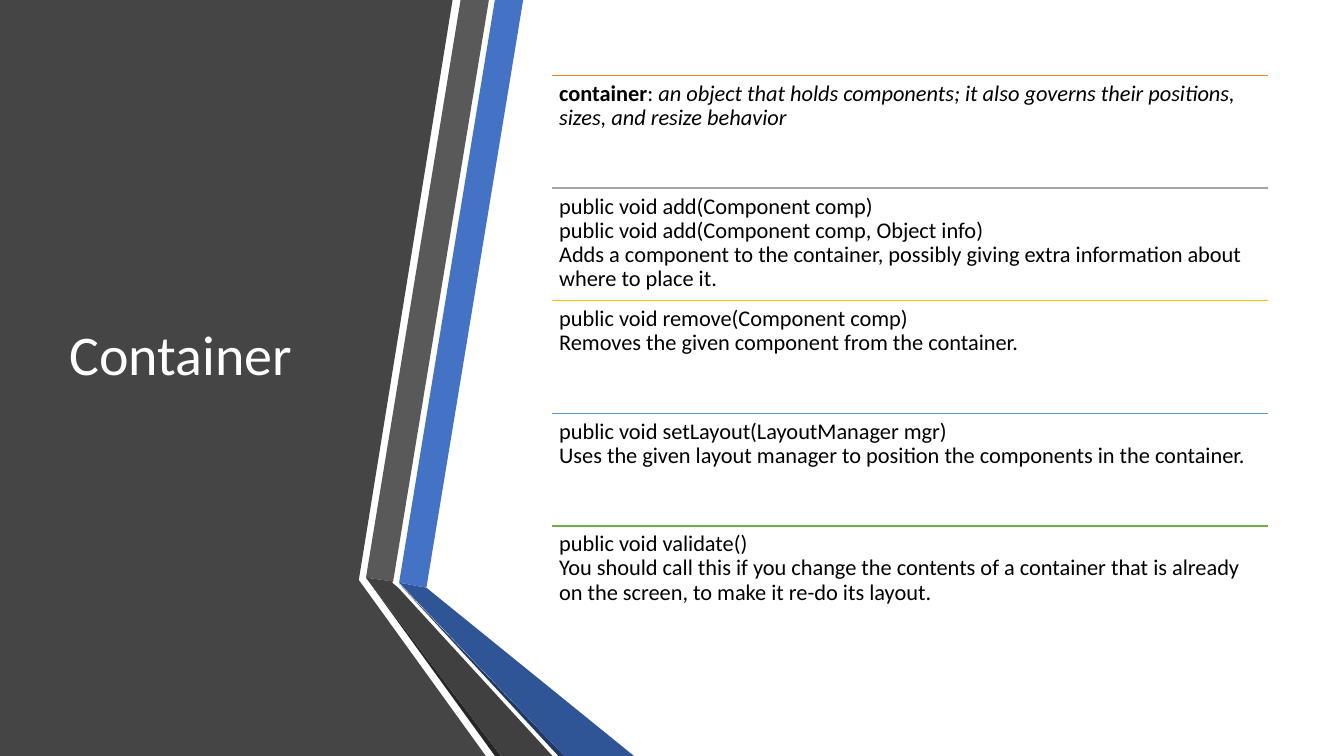
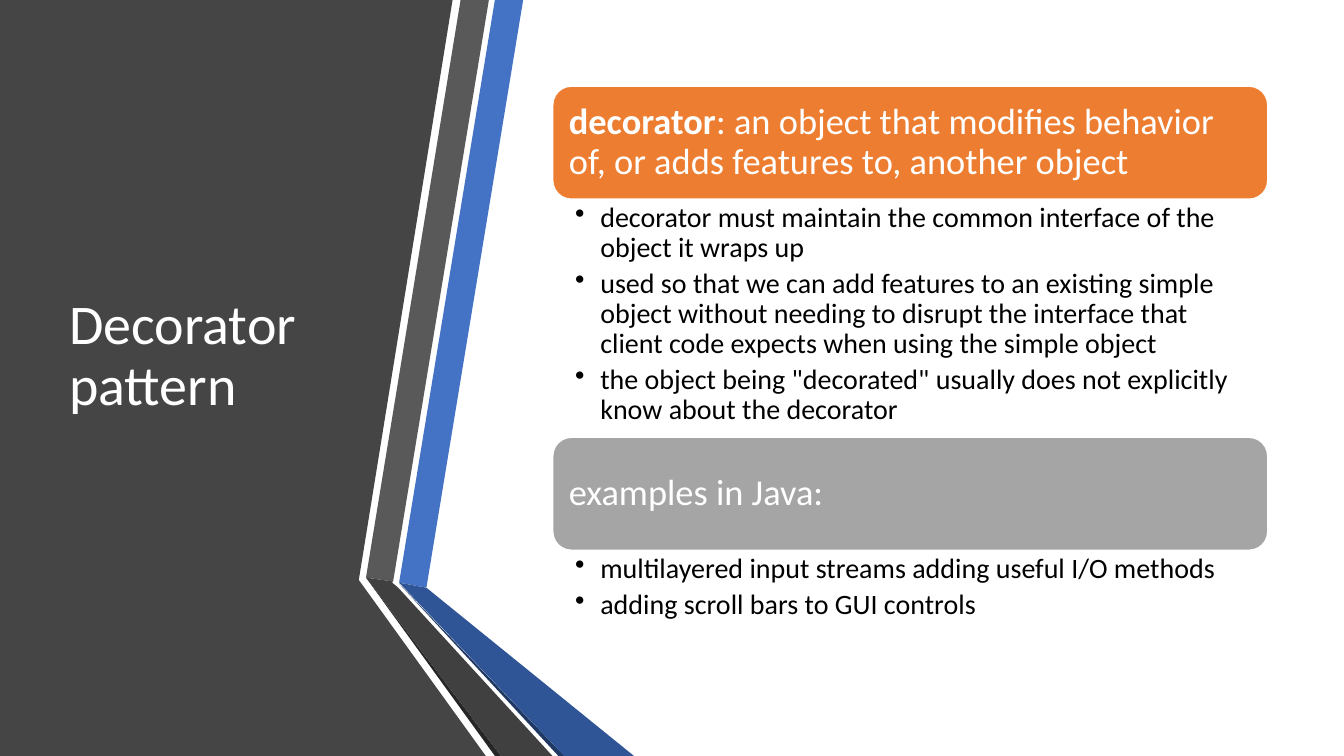
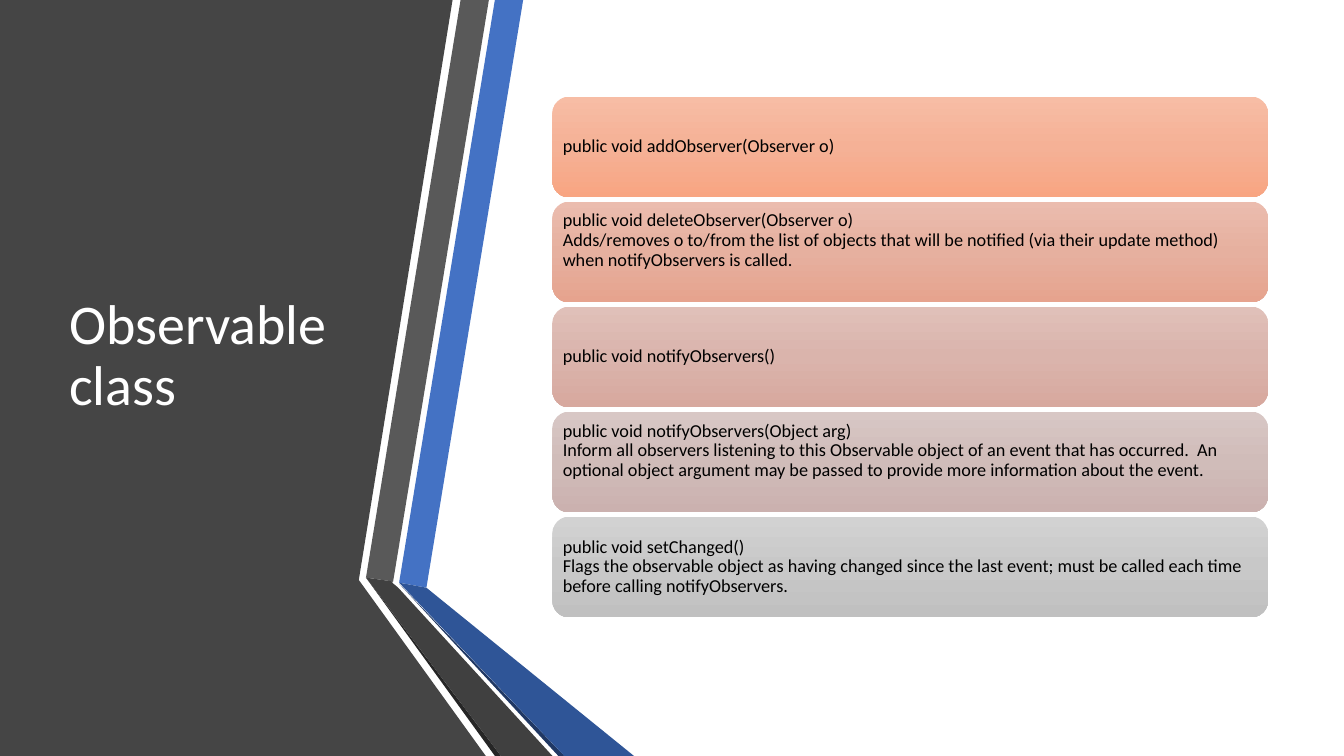
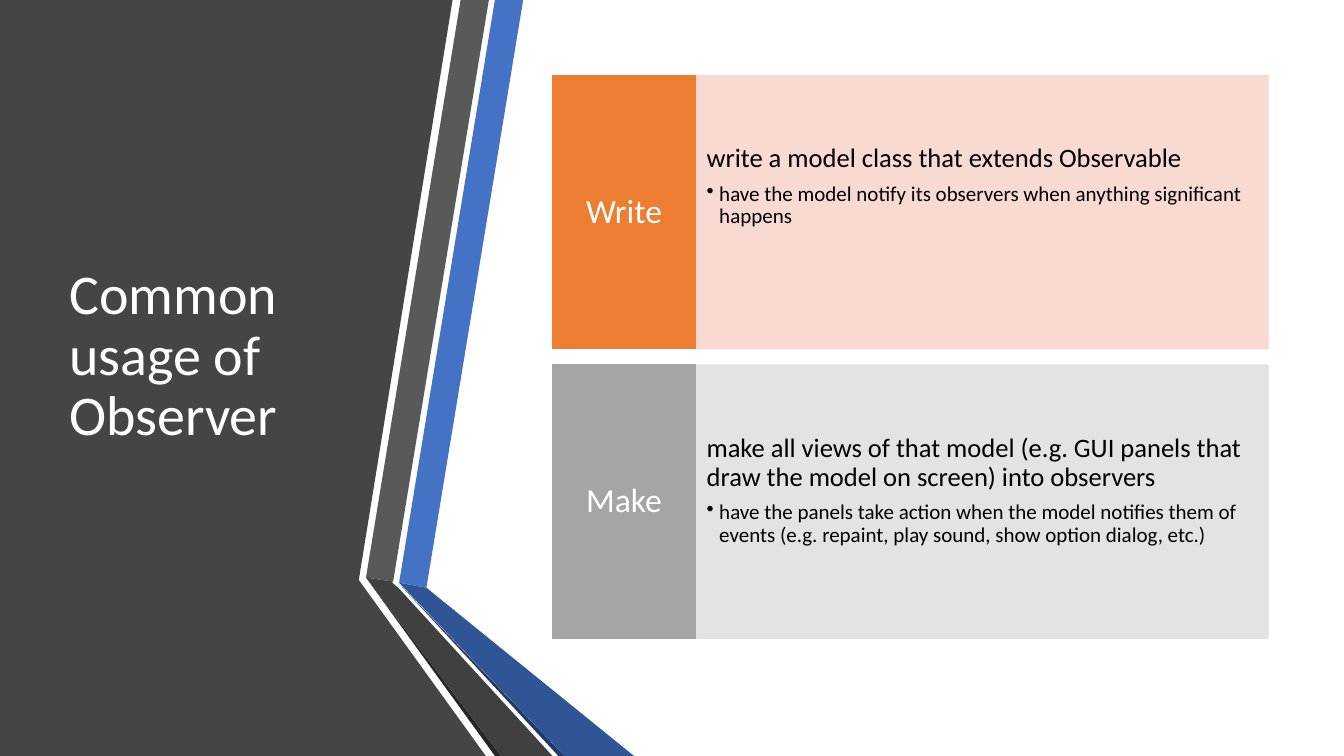
"""Build four slides on Java GUI containers, decorators and observers."""
from copy import deepcopy
from dataclasses import dataclass

from lxml.etree import SubElement
from pptx import Presentation
from pptx.dml.color import RGBColor
from pptx.enum.shapes import MSO_CONNECTOR, MSO_SHAPE
from pptx.enum.text import MSO_ANCHOR, PP_ALIGN
from pptx.oxml.ns import qn
from pptx.util import Pt

STRAIGHT = MSO_CONNECTOR.STRAIGHT
RECTANGLE, ROUNDED = MSO_SHAPE.RECTANGLE, MSO_SHAPE.ROUNDED_RECTANGLE
TOP, MIDDLE = MSO_ANCHOR.TOP, MSO_ANCHOR.MIDDLE
LEFT, CENTER = PP_ALIGN.LEFT, PP_ALIGN.CENTER


@dataclass(frozen=True)
class Theme:
    font: str = "Calibri"
    white: str = "FFFFFF"
    black: str = "000000"
    panel: str = "454545"
    blue: str = "4472C4"
    blue_fold: str = "2F5597"
    blue_edge: str = "203864"
    grey: str = "595959"
    grey_fold: str = "404040"
    grey_edge: str = "262626"
    orange: str = "ED7D31"
    silver: str = "A5A5A5"
    gold: str = "FFC000"
    sky: str = "5B9BD5"
    green: str = "70AD47"
    orange_tint: str = "F8D7CE"
    silver_tint: str = "E1E1E1"
    title_size: int = 40
    heading_size: int = 26
    label_size: int = 24
    bullet_size: int = 20
    lead_size: int = 19
    entry_size: int = 16
    detail_size: int = 15
    method_size: int = 13


THEME = Theme()
WIDTH, HEIGHT = 960, 540
AREA_LEFT, AREA_TOP, AREA_WIDTH, AREA_HEIGHT = 394.6, 54, 511.2, 402

RIBBONS = [
    (THEME.panel, [(0, 0), (323.3, 0), (256.3, 414.3), (347, 540), (0, 540)]),
    (THEME.blue, [(285.1, 416.2), (304.6, 419.8), (373.7, 0), (353.5, 0)]),
    (THEME.grey, [(349.2, 0), (329, 0), (261.4, 412.6), (280.8, 415.4)]),
    (THEME.grey_edge, [(261.4, 412.6), (353.5, 540), (357.8, 540)]),
    (THEME.blue_edge, [(285.1, 416.9), (398.9, 540), (403.2, 540)]),
    (THEME.blue_fold, [(285.1, 416.2), (403.2, 540), (452.9, 540), (304.6, 419.8)]),
    (THEME.grey_fold, [(394.6, 540), (284.4, 419.8), (280.1, 416.2),
                       (280.8, 415.4), (261.4, 412.6), (357.8, 540)]),
]


def write(frame, *spans, size, color=THEME.black, align=LEFT, after=0.35, bullet=0):
    """Add a paragraph of spans, each a string or a (text, bold, italic) tuple."""
    paragraph = frame.paragraphs[0]
    if paragraph.runs:
        paragraph = frame.add_paragraph()
    paragraph.alignment = align
    paragraph.line_spacing = 0.9
    paragraph.space_after = Pt(after * size)
    for span in spans:
        text, bold, italic = (span, False, False) if isinstance(span, str) else span
        for number, line in enumerate(text.split("\n")):
            if number:
                paragraph.add_line_break()
            run = paragraph.add_run()
            run.text = line
            run.font.name, run.font.size = THEME.font, Pt(size)
            run.font.bold, run.font.italic = bold, italic
            run.font.color.rgb = RGBColor.from_string(color)
    for line_break in paragraph._p.findall(qn("a:br")):
        SubElement(line_break, qn("a:rPr")).set("sz", str(size * 100))
    if bullet:
        properties = paragraph._p.get_or_add_pPr()
        properties.set("marL", str(Pt(bullet)))
        properties.set("indent", str(-Pt(bullet)))
        SubElement(properties, qn("a:buChar")).set("char", "•")


class Deck:
    """Hold the presentation and draw styled elements on its current slide."""

    def __init__(self):
        self.presentation = Presentation()
        self.presentation.slide_width = Pt(WIDTH)
        self.presentation.slide_height = Pt(HEIGHT)
        self.shapes = None

    def start_slide(self, title):
        """Add a slide with the folded ribbons and its title."""
        layout = self.presentation.slide_layouts[6]
        self.shapes = self.presentation.slides.add_slide(layout).shapes
        for color, corners in RIBBONS:
            self.ribbon(color, corners)
        frame = self.text_area(42.5, AREA_TOP, 218.9, AREA_HEIGHT,
                               insets=(7.2, 3.6, 7.2, 3.6), anchor=MIDDLE)
        write(frame, title, size=THEME.title_size, color=THEME.white, after=0)

    def ribbon(self, color, corners):
        """Draw a filled polygon."""
        (x, y), *others = [(Pt(x), Pt(y)) for x, y in corners]
        builder = self.shapes.build_freeform(x, y)
        builder.add_line_segments(others)
        self.paint(builder.convert_to_shape(), color)

    def paint(self, shape, fill, line=None, line_width=1, alpha=None):
        """Give a shape its fill, outline and opacity."""
        shape.shadow.inherit = False
        if isinstance(fill, str):
            shape.fill.solid()
            shape.fill.fore_color.rgb = RGBColor.from_string(fill)
        else:
            self.shade(shape, fill)
        if line:
            shape.line.color.rgb = RGBColor.from_string(line)
            shape.line.width = Pt(line_width)
        else:
            shape.line.fill.background()
        if alpha:
            for color in shape._element.spPr.iter(qn("a:srgbClr")):
                SubElement(color, qn("a:alpha")).set("val", str(alpha * 1000))

    def shade(self, shape, colors):
        """Fill a shape with three evenly spaced colours from top to bottom."""
        shape.fill.gradient()
        shape.fill.gradient_angle = 270
        first = shape._element.spPr.find(".//" + qn("a:gs"))
        first.addnext(deepcopy(first))
        for number, (stop, color) in enumerate(zip(shape.fill.gradient_stops, colors)):
            stop.position = number / 2
            stop.color.rgb = RGBColor.from_string(color)

    def prepare(self, shape, insets, anchor):
        """Set up the text frame of a shape and return it."""
        frame = shape.text_frame
        frame.word_wrap = True
        frame.vertical_anchor = anchor
        (frame.margin_left, frame.margin_top,
         frame.margin_right, frame.margin_bottom) = map(Pt, insets)
        return frame

    def text_area(self, left, top, width, height, insets, anchor=TOP):
        """Add a text box and return its frame."""
        box = self.shapes.add_textbox(Pt(left), Pt(top), Pt(width), Pt(height))
        return self.prepare(box, insets, anchor)

    def card(self, kind, left, top, width, height, fill, insets, anchor=MIDDLE, **style):
        """Add a painted shape and return its text frame."""
        shape = self.shapes.add_shape(kind, Pt(left), Pt(top), Pt(width), Pt(height))
        self.paint(shape, fill, **style)
        return self.prepare(shape, insets, anchor)

    def rule(self, top, color):
        """Draw a horizontal line across the content area."""
        line = self.shapes.add_connector(STRAIGHT, Pt(AREA_LEFT), Pt(top),
                                         Pt(AREA_LEFT + AREA_WIDTH), Pt(top))
        line.line.color.rgb = RGBColor.from_string(color)
        line.line.width = Pt(1)
        SubElement(line._element.spPr, qn("a:effectLst"))


def container_slide(deck):
    """Show the container methods between coloured rules."""
    deck.start_slide("Container")
    entries = [
        (THEME.orange, [("container", True, False), ": ",
                        ("an object that holds components; it also governs their "
                         "positions, sizes, and resize behavior", False, True)]),
        (THEME.silver, ["public void add(Component comp)\n"
                        "public void add(Component comp, Object info)\n"
                        "Adds a component to the container, possibly giving extra "
                        "information about where to place it."]),
        (THEME.gold, ["public void remove(Component comp)\n"
                      "Removes the given component from the container."]),
        (THEME.sky, ["public void setLayout(LayoutManager mgr)\n"
                     "Uses the given layout manager to position the components "
                     "in the container."]),
        (THEME.green, ["public void validate()\n"
                       "You should call this if you change the contents of a container "
                       "that is already on the screen, to make it re-do its layout."]),
    ]
    pitch = AREA_HEIGHT / len(entries)
    for row, (color, spans) in enumerate(entries):
        top = AREA_TOP + row * pitch
        deck.rule(top, color)
        frame = deck.text_area(AREA_LEFT, top, AREA_WIDTH, pitch, insets=(4.8,) * 4)
        write(frame, *spans, size=THEME.entry_size)


def decorator_slide(deck):
    """Show two heading cards, each above its bullets."""
    deck.start_slide("Decorator pattern")
    sections = [
        (THEME.orange, 169.6,
         [("decorator", True, False),
          ": an object that modifies behavior of, or adds features to, another object"],
         ["decorator must maintain the common interface of the object it wraps up",
          "used so that we can add features to an existing simple object without needing "
          "to disrupt the interface that client code expects when using the simple object",
          'the object being "decorated" usually does not explicitly know about the decorator']),
        (THEME.silver, 55.4, ["examples in Java:"],
         ["multilayered input streams adding useful I/O methods",
          "adding scroll bars to GUI controls"]),
    ]
    heading_height = 81.2
    top = 61.3
    for color, list_height, heading, bullets in sections:
        frame = deck.card(ROUNDED, AREA_LEFT, top, AREA_WIDTH, heading_height, color,
                          insets=(7.8,) * 4, line=THEME.white, line_width=1.5)
        write(frame, *heading, size=THEME.heading_size, color=THEME.white)
        top += heading_height
        frame = deck.text_area(AREA_LEFT, top, AREA_WIDTH, list_height,
                               insets=(16.2, 2.6, 14.2, 2.6))
        for bullet in bullets:
            write(frame, bullet, size=THEME.bullet_size, after=0.2, bullet=18)
        top += list_height


def observable_slide(deck):
    """Show the observable methods on a stack of shaded cards."""
    deck.start_slide("Observable class")
    methods = [
        (("F7BDA5", "F5B196", "F8A582"), 0, "public void addObserver(Observer o)"),
        (("EBBCAE", "E6B09F", "E6A38E"), 16,
         "public void deleteObserver(Observer o)\n"
         "Adds/removes o to/from the list of objects that will be notified "
         "(via their update method) when notifyObservers is called."),
        (("E0C0B9", "DAB4AC", "D7A89E"), 0, "public void notifyObservers()"),
        (("D8C7C5", "D0BCB9", "CBB1AF"), 16,
         "public void notifyObservers(Object arg)\n"
         "Inform all observers listening to this Observable object of an event that has "
         "occurred.  An optional object argument may be passed to provide more "
         "information about the event."),
        (("D2D2D2", "C8C8C8", "C0C0C0"), 0,
         "public void setChanged()\n"
         "Flags the observable object as having changed since the last event; "
         "must be called each time before calling notifyObservers."),
    ]
    height, gap, inset = 72, 3, 3.9
    for row, (colors, lift, text) in enumerate(methods):
        frame = deck.card(ROUNDED, AREA_LEFT, 69 + row * (height + gap), AREA_WIDTH, height,
                          colors, insets=(inset, inset, inset, inset + lift))
        write(frame, text, size=THEME.method_size)


def usage_slide(deck):
    """Show the two steps as labelled panels."""
    deck.start_slide("Common usage of Observer")
    steps = [
        ("Write", THEME.orange, THEME.orange_tint,
         "write a model class that extends Observable",
         "have the model notify its observers when anything significant happens"),
        ("Make", THEME.silver, THEME.silver_tint,
         "make all views of that model (e.g. GUI panels that draw the model on screen) "
         "into observers",
         "have the panels take action when the model notifies them of events "
         "(e.g. repaint, play sound, show option dialog, etc.)"),
    ]
    height = 195.2
    pitch = AREA_HEIGHT - height
    label_width = AREA_WIDTH / 5
    for row, (label, color, tint, lead, detail) in enumerate(steps):
        top = AREA_TOP + row * pitch
        frame = deck.card(RECTANGLE, AREA_LEFT + label_width, top, AREA_WIDTH - label_width,
                          height, tint, insets=(7.9, 49.6, 7.9, 49.6), anchor=TOP,
                          line=tint, alpha=90)
        write(frame, lead, size=THEME.lead_size)
        write(frame, detail, size=THEME.detail_size, after=0.15, bullet=9)
        frame = deck.card(RECTANGLE, AREA_LEFT, top, label_width, height, color,
                          insets=(5.8, 19.4, 5.8, 19.4), line=color)
        write(frame, label, size=THEME.label_size, color=THEME.white, align=CENTER)


def main():
    """Build the slides in order and save them."""
    deck = Deck()
    for build in (container_slide, decorator_slide, observable_slide, usage_slide):
        build(deck)
    deck.presentation.save("out.pptx")


if __name__ == "__main__":
    main()
